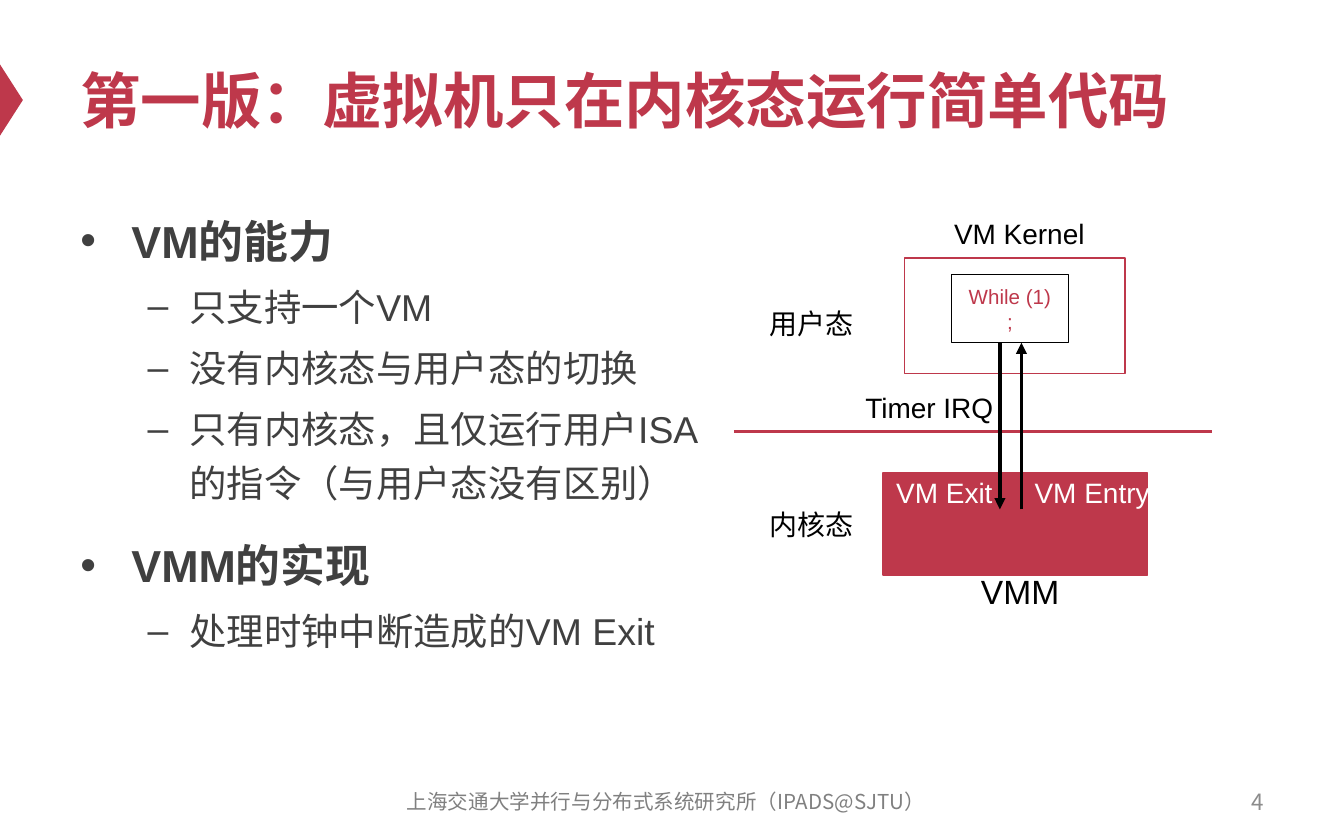
from dataclasses import dataclass

import pptx
import pptx.dml.color
import pptx.enum.shapes
import pptx.enum.text
import pptx.oxml
import pptx.oxml.ns
import pptx.util

Inches, Pt = pptx.util.Inches, pptx.util.Pt
Align = pptx.enum.text.PP_ALIGN
Anchor = pptx.enum.text.MSO_ANCHOR
Shape = pptx.enum.shapes.MSO_SHAPE


@dataclass(frozen=True)
class Theme:
    red: str = "BE384B"
    body: str = "404040"
    footer: str = "808080"
    page: str = "8C8C8C"
    black: str = "000000"
    white: str = "FFFFFF"
    latin: str = "Arial"
    cjk: str = "Noto Sans CJK SC"
    title_size: float = 32.4
    topic_size: float = 24
    point_size: float = 20
    vmm_size: float = 18
    label_size: float = 15
    page_size: float = 12
    small_size: float = 11


THEME = Theme()


def rgb(color):
    return pptx.dml.color.RGBColor.from_string(color)


def add_xml(parent, tag, **attributes):
    element = pptx.oxml.parse_xml(f"<a:{tag} {pptx.oxml.ns.nsdecls('a')}/>")
    for name, value in attributes.items():
        element.set(name, str(value))
    parent.append(element)


def add_run(paragraph, text, size, color, bold=False, font=THEME.latin):
    run = paragraph.add_run()
    run.text = text
    run.font.size = Pt(size)
    run.font.bold = bold
    run.font.name = font
    run.font.color.rgb = rgb(color)
    add_xml(run.font._element, "ea", typeface=THEME.cjk)


def add_textbox(slide, left, top, width, height, anchor=Anchor.TOP, wrap=True):
    box = slide.shapes.add_textbox(Inches(left), Inches(top), Inches(width), Inches(height))
    frame = box.text_frame
    frame.word_wrap = wrap
    frame.vertical_anchor = anchor
    return frame


def add_line_text(slide, box, text, size, color, align=Align.LEFT, bold=False, font=THEME.latin):
    paragraph = add_textbox(slide, *box, anchor=Anchor.MIDDLE).paragraphs[0]
    paragraph.alignment = align
    add_run(paragraph, text, size, color, bold, font)


def add_block(slide, kind, left, top, width, height, fill, line=None):
    block = slide.shapes.add_shape(kind, Inches(left), Inches(top), Inches(width), Inches(height))
    block.shadow.inherit = False
    block.fill.solid()
    block.fill.fore_color.rgb = rgb(fill)
    if line:
        block.line.color.rgb = rgb(line)
        block.line.width = Pt(0.75)
    else:
        block.line.fill.background()
    return block


def add_line(slide, x1, y1, x2, y2, color, arrow=False):
    line = slide.shapes.add_connector(
        pptx.enum.shapes.MSO_CONNECTOR.STRAIGHT, Inches(x1), Inches(y1), Inches(x2), Inches(y2))
    line.line.color.rgb = rgb(color)
    line.line.width = Pt(2)
    if arrow:
        add_xml(line.line._get_or_add_ln(), "tailEnd", type="triangle")
    add_xml(line._element.spPr, "effectLst")


def add_header(slide, left, top, width, height):
    # Marker at the slide edge, pointing right
    marker = add_block(slide, Shape.ISOSCELES_TRIANGLE, left - 0.68, top + 0.41, 0.53, 0.17, THEME.red)
    marker.rotation = 90
    add_line_text(slide, (left, top, width, height), "第一版：虚拟机只在内核态运行简单代码",
                  THEME.title_size, THEME.red, bold=True)


def add_outline(slide, left, top, width, height, topics):
    frame = add_textbox(slide, left, top, width, height)
    rows = [(text, level) for topic, points in topics
            for text, level in [(topic, 0), *((point, 1) for point in points)]]
    for index, (text, level) in enumerate(rows):
        paragraph = frame.add_paragraph() if index else frame.paragraphs[0]
        indent, hanging, bullet, size, gap = (
            (0.81, 0.31, "–", THEME.point_size, 4) if level
            else (0.38, 0.38, "•", THEME.topic_size, 12))
        paragraph.level = level
        paragraph.line_spacing = 1.2
        paragraph.space_before = Pt(gap if index else 0)
        properties = paragraph._p.get_or_add_pPr()
        properties.set("marL", str(Inches(indent)))
        properties.set("indent", str(-Inches(hanging)))
        add_xml(properties, "buFont", typeface=THEME.latin)
        add_xml(properties, "buChar", char=bullet)
        add_run(paragraph, text, size, THEME.body, bold=level == 0)


def add_diagram(slide, left, top, width):
    def label(text, x, y, w, h=0.35, color=THEME.black, size=THEME.label_size):
        frame = add_textbox(slide, left + x, top + y, w, h, wrap=False)
        frame.auto_size = pptx.enum.text.MSO_AUTO_SIZE.SHAPE_TO_FIT_TEXT
        add_run(frame.paragraphs[0], text, size, color)

    # Kernel box, mode boundary and monitor box
    add_block(slide, Shape.RECTANGLE, left + 1.27, top + 0.36, 1.64, 0.86, THEME.white, THEME.red)
    add_line(slide, left, top + 1.65, left + width, top + 1.65, THEME.red)
    add_block(slide, Shape.RECTANGLE, left + 1.11, top + 1.96, 1.97, 0.76, THEME.red, THEME.red)

    # Exit and entry arrows
    code_bottom, monitor_end = top + 0.99, top + 2.23
    add_line(slide, left + 1.98, code_bottom, left + 1.98, monitor_end, THEME.black, arrow=True)
    add_line(slide, left + 2.14, monitor_end, left + 2.14, code_bottom, THEME.black, arrow=True)

    # Guest code
    code = add_block(slide, Shape.RECTANGLE, left + 1.62, top + 0.48, 0.87, 0.51,
                     THEME.white, THEME.black).text_frame
    code.word_wrap = True
    code.vertical_anchor = Anchor.MIDDLE
    for index, text in enumerate(("While (1)", ";")):
        paragraph = code.add_paragraph() if index else code.paragraphs[0]
        paragraph.alignment = Align.CENTER
        add_run(paragraph, text, THEME.small_size, THEME.red)

    # Labels
    label("VM Kernel", 1.54, 0, 1.19)
    label("用户态", 0.17, 0.67, 0.83)
    label("内核态", 0.17, 2.17, 0.83)
    label("Timer IRQ", 0.88, 1.3, 1.16)
    label("VM Exit", 1.11, 1.93, 0.93, color=THEME.white)
    label("VM Entry", 2.14, 1.93, 1.07, color=THEME.white)
    label("VMM", 1.74, 2.64, 0.79, 0.4, size=THEME.vmm_size)


def add_footer(slide, left, top, width, height):
    add_line_text(slide, (left + 2.29, top, 4.33, height), "上海交通大学并行与分布式系统研究所（IPADS@SJTU）",
                  THEME.small_size, THEME.footer, Align.CENTER, font=THEME.cjk)
    add_line_text(slide, (left + width - 2.33, top, 2.33, height), "4",
                  THEME.page_size, THEME.page, Align.RIGHT, font=THEME.cjk)


def main():
    deck = pptx.Presentation()
    deck.slide_width, deck.slide_height = Inches(10), Inches(6.25)
    slide = deck.slides.add_slide(deck.slide_layouts[6])
    add_header(slide, 0.5, 0.25, 9, 0.98)
    add_outline(slide, 0.5, 1.46, 4.89, 4.12, [
        ("VM的能力", ["只支持一个VM", "没有内核态与用户态的切换",
                   "只有内核态，且仅运行用户ISA的指令（与用户态没有区别）"]),
        ("VMM的实现", ["处理时钟中断造成的VM Exit"]),
    ])
    add_diagram(slide, 5.46, 1.56, 3.56)
    add_footer(slide, 0.5, 5.8, 9, 0.33)
    deck.save("out.pptx")


if __name__ == "__main__":
    main()
